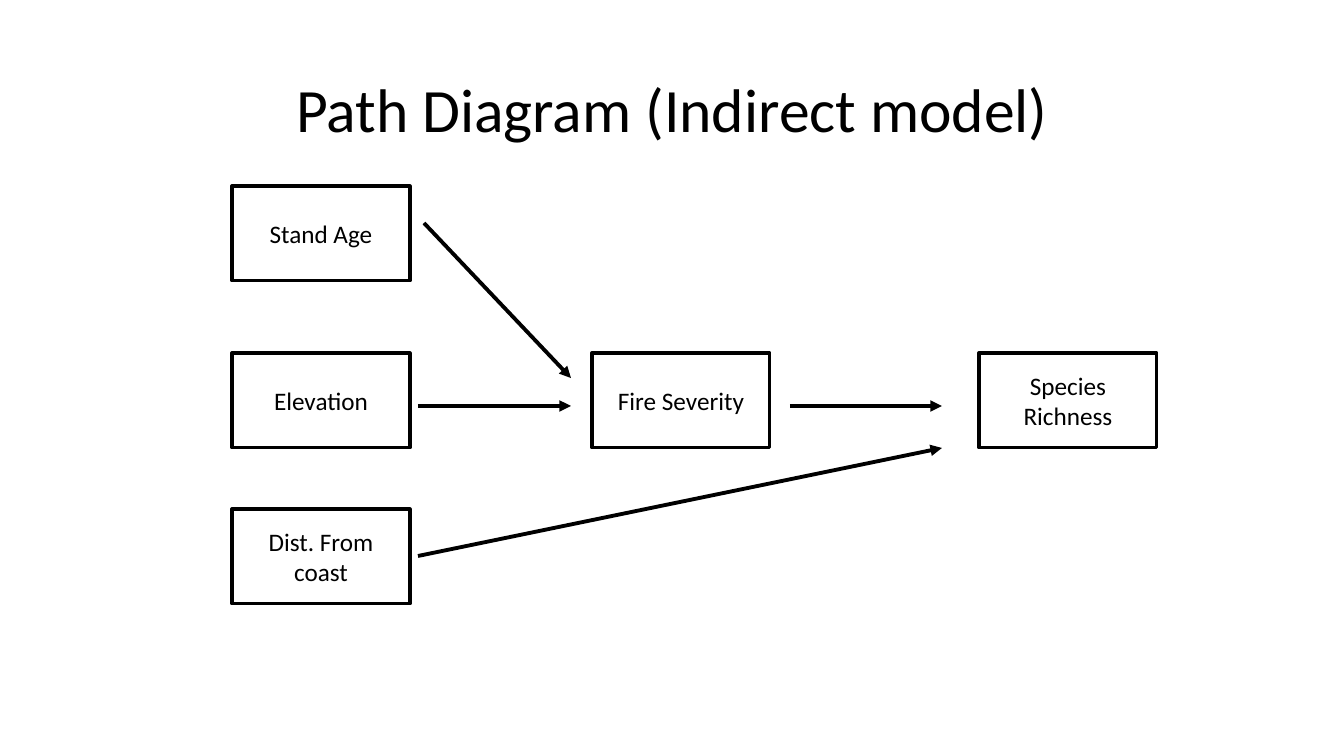
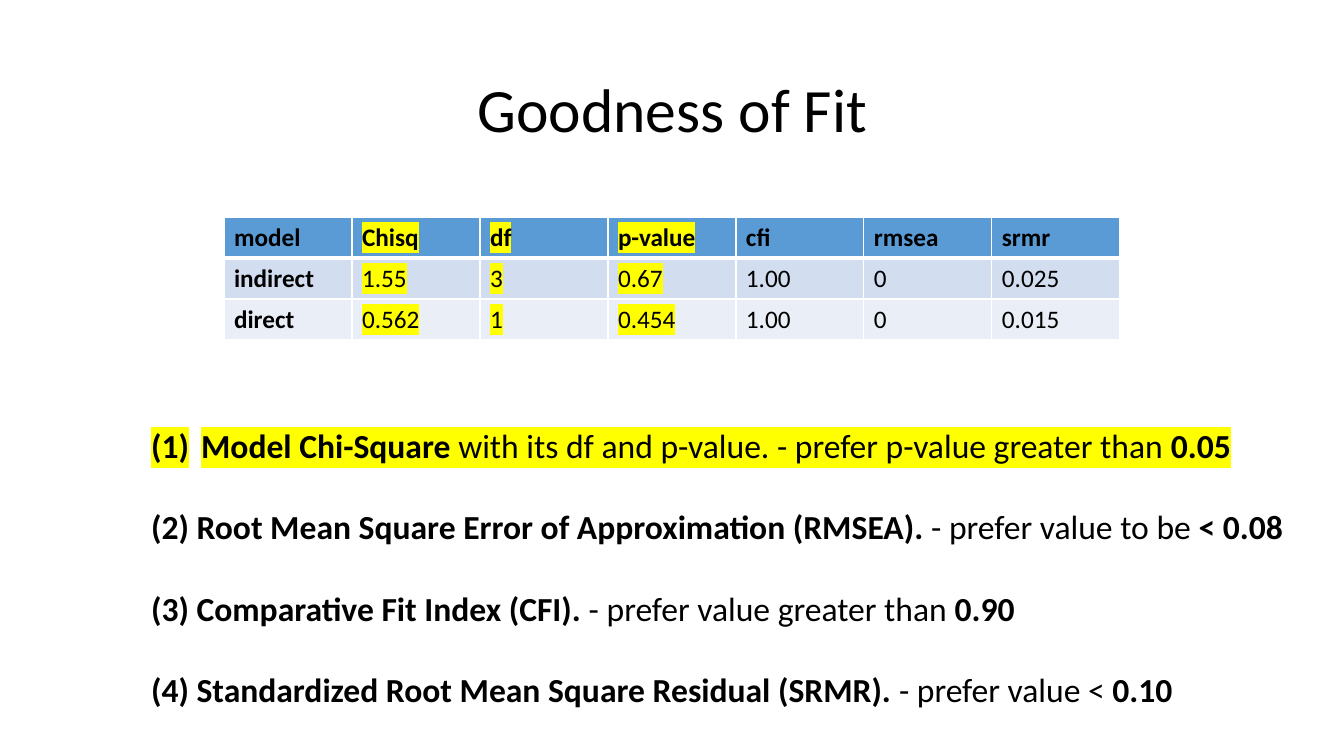
from collections import namedtuple
from dataclasses import dataclass

from lxml.etree import SubElement
from pptx import Presentation
from pptx.dml.color import RGBColor
from pptx.enum.shapes import MSO_CONNECTOR, MSO_SHAPE
from pptx.enum.text import MSO_ANCHOR, MSO_AUTO_SIZE, PP_ALIGN
from pptx.oxml import parse_xml
from pptx.oxml.ns import nsdecls, qn
from pptx.util import Emu, Pt

PX_PER_INCH = 100.8
EMU_PER_PX = 914400 / PX_PER_INCH

Box = namedtuple("Box", "left top width height")


@dataclass(frozen=True)
class Theme:
    font: str = "Calibri"
    ink: str = "000000"
    paper: str = "FFFFFF"
    header: str = "5B9BD5"
    bands: tuple = ("D2DEEF", "EAEFF7")
    marker: str = "FFFF00"
    title_size: float = 44
    list_size: float = 24
    label_size: float = 18
    list_gap: float = 29.3
    outline: float = 2.25
    arrow: float = 2.75


THEME = Theme()
PAGE = Box(0, 0, 1344, 756)
TITLE = Box(93, 40, 1159, 146)
DIAGRAM = Box(232, 186, 925, 418)
FIT_TABLE = Box(224, 217, 896, 123)
CRITERIA = Box(141, 420, 1163, 336)

TITLE_ONLY, TITLE_AND_BODY = 5, 1

NODE_WIDTH, NODE_HEIGHT = 178, 95
NODES = [
    ("Stand Age", 0, 0),
    ("Elevation", 0, 167),
    ("Dist. From coast", 0, 323),
    ("Fire Severity", 360, 167),
    ("Species Richness", 747, 167),
]
ARROWS = [
    ((192, 37), (339, 192)),
    ((186, 220), (339, 220)),
    ((558, 220), (710, 220)),
    ((186, 370), (710, 262)),
]

FIT_ROWS = [
    ("model", "Chisq", "df", "p-value", "cfi", "rmsea", "srmr"),
    ("indirect", "1.55", "3", "0.67", "1.00", "0", "0.025"),
    ("direct", "0.562", "1", "0.454", "1.00", "0", "0.015"),
]
MARKED_COLUMNS = (1, 2, 3)

# Each criterion: bold name, plain advice, bold threshold
CRITERIA_TEXT = [
    ("Model Chi-Square ", "with its df and p-value. - prefer p-value greater than ", "0.05"),
    ("(2) Root Mean Square Error of Approximation (RMSEA). ", "- prefer value to be ", "< 0.08"),
    ("(3) Comparative Fit Index (CFI). ", "- prefer value greater than ", "0.90"),
    ("(4) Standardized Root Mean Square Residual (SRMR). ", "- prefer value < ", "0.10"),
]


def px(length):
    return Emu(round(length * EMU_PER_PX))


def set_all(target, values):
    for name, value in values.items():
        setattr(target, name, value)


def place(shape, box):
    set_all(shape, {name: px(length) for name, length in box._asdict().items()})


def paint(fill, color):
    fill.solid()
    fill.fore_color.rgb = RGBColor.from_string(color)


def add_span(para, text, size, bold=False, marked=False):
    span = para.add_run()
    span.text = text
    set_all(span.font, {"name": THEME.font, "size": Pt(size), "bold": bold})
    paint(span.font.fill, THEME.ink)
    if marked:
        highlight = parse_xml(
            f'<a:highlight {nsdecls("a")}><a:srgbClr val="{THEME.marker}"/></a:highlight>')
        span.font.fill._xPr.find(qn("a:solidFill")).addnext(highlight)


def add_page(deck, layout, title):
    page = deck.slides.add_slide(deck.slide_layouts[layout])
    place(page.shapes.title, TITLE)
    frame = page.shapes.title.text_frame
    set_all(frame, {"vertical_anchor": MSO_ANCHOR.MIDDLE, "word_wrap": True,
                    "auto_size": MSO_AUTO_SIZE.NONE})
    para = frame.paragraphs[0]
    set_all(para, {"alignment": PP_ALIGN.CENTER, "line_spacing": 0.9})
    add_span(para, title, THEME.title_size)
    return page


def add_node(shapes, text, box):
    node = shapes.add_shape(MSO_SHAPE.RECTANGLE, *map(px, box))
    node.shadow.inherit = False
    paint(node.fill, THEME.paper)
    paint(node.line.fill, THEME.ink)
    node.line.width = Pt(THEME.outline)
    set_all(node.text_frame, {"vertical_anchor": MSO_ANCHOR.MIDDLE, "word_wrap": True})
    para = node.text_frame.paragraphs[0]
    para.alignment = PP_ALIGN.CENTER
    add_span(para, text, THEME.label_size)


def add_arrow(shapes, start, end):
    arrow = shapes.add_connector(MSO_CONNECTOR.STRAIGHT, *map(px, start + end))
    paint(arrow.line.fill, THEME.ink)
    arrow.line.width = Pt(THEME.arrow)
    SubElement(arrow.line._get_or_add_ln(), qn("a:tailEnd"), type="triangle")
    SubElement(arrow._element.spPr, qn("a:effectLst"))


def add_path_diagram(page, box):
    shapes = page.shapes.add_group_shape().shapes
    for text, left, top in NODES:
        add_node(shapes, text, Box(box.left + left, box.top + top, NODE_WIDTH, NODE_HEIGHT))
    for ends in ARROWS:
        start, end = [(box.left + x, box.top + y) for x, y in ends]
        add_arrow(shapes, start, end)


def add_borders(cell, top, bottom):
    """Draw the cell's four sides; the left and right ones are 1 pt wide."""
    properties = cell._tc.get_or_add_tcPr()
    widths = {"lnL": 1, "lnR": 1, "lnT": top, "lnB": bottom}
    for position, (side, width) in enumerate(widths.items()):
        properties.insert(position, parse_xml(
            f'<a:{side} {nsdecls("a")} w="{Pt(width)}"><a:solidFill>'
            f'<a:srgbClr val="{THEME.paper}"/></a:solidFill></a:{side}>'))


def add_fit_table(page, box):
    row_count, column_count = len(FIT_ROWS), len(FIT_ROWS[0])
    table = page.shapes.add_table(row_count, column_count, *map(px, box)).table
    fills = (THEME.header, *THEME.bands)
    for column in table.columns:
        column.width = px(box.width // column_count)
    for row, values in enumerate(FIT_ROWS):
        table.rows[row].height = px(box.height // row_count)
        for column, text in enumerate(values):
            cell = table.cell(row, column)
            paint(cell.fill, fills[row])
            add_borders(cell, top=3 if row == 1 else 1, bottom=3 if row == 0 else 1)
            add_span(cell.text_frame.paragraphs[0], text, THEME.label_size,
                     bold=row == 0 or column == 0, marked=column in MARKED_COLUMNS)


def set_bullet(para, numbered):
    properties = para._p.get_or_add_pPr()
    indent = px(50) if numbered else 0
    properties.set("marL", str(indent))
    properties.set("indent", str(-indent))
    if numbered:
        SubElement(properties, qn("a:buFont"), typeface="+mj-lt")
        SubElement(properties, qn("a:buAutoNum"), type="arabicParenBoth")
    else:
        SubElement(properties, qn("a:buNone"))


def add_criteria(page, box):
    body = page.placeholders[1]
    place(body, box)
    frame = body.text_frame
    set_all(frame, {"vertical_anchor": MSO_ANCHOR.TOP, "word_wrap": True,
                    "auto_size": MSO_AUTO_SIZE.NONE})
    for index, (name, advice, threshold) in enumerate(CRITERIA_TEXT):
        first = index == 0
        para = frame.paragraphs[0] if first else frame.add_paragraph()
        set_all(para, {"alignment": PP_ALIGN.LEFT, "line_spacing": 1.0,
                       "space_before": Pt(0), "space_after": Pt(THEME.list_gap)})
        set_bullet(para, numbered=first)
        for text, bold in ((name, True), (advice, False), (threshold, True)):
            add_span(para, text, THEME.list_size, bold=bold, marked=first)


def build_diagram_page(deck):
    page = add_page(deck, TITLE_ONLY, "Path Diagram (Indirect model)")
    add_path_diagram(page, DIAGRAM)


def build_fit_page(deck):
    page = add_page(deck, TITLE_AND_BODY, "Goodness of Fit")
    add_fit_table(page, FIT_TABLE)
    add_criteria(page, CRITERIA)


def main():
    deck = Presentation()
    set_all(deck, {"slide_width": px(PAGE.width), "slide_height": px(PAGE.height)})
    build_diagram_page(deck)
    build_fit_page(deck)
    deck.save("out.pptx")


if __name__ == "__main__":
    main()
